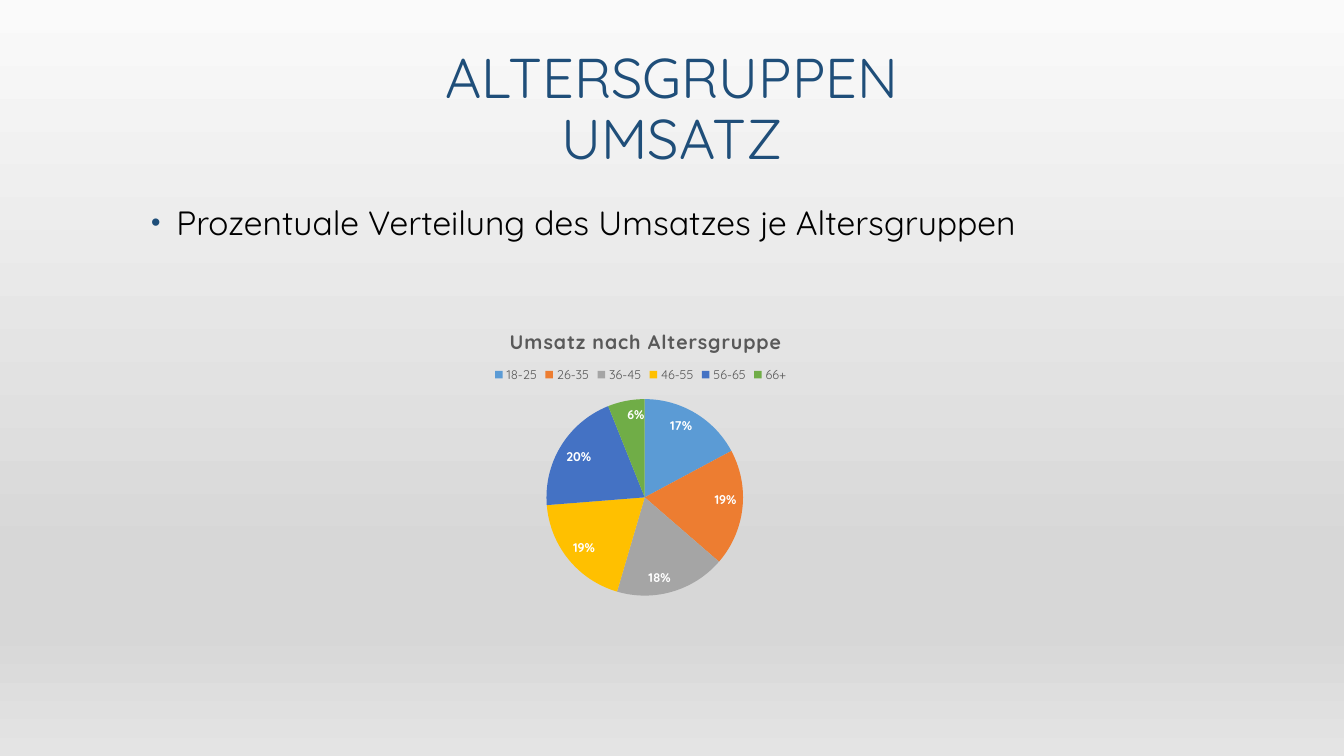
from lxml.etree import SubElement
from pptx import Presentation
from pptx.chart.data import CategoryChartData
from pptx.dml.color import RGBColor
from pptx.enum.chart import XL_CHART_TYPE, XL_LABEL_POSITION, XL_LEGEND_POSITION
from pptx.enum.shapes import MSO_SHAPE
from pptx.enum.text import MSO_ANCHOR, PP_ALIGN
from pptx.oxml import parse_xml
from pptx.oxml.ns import nsdecls, qn
from pptx.util import Inches, Pt

FONT = "Quicksand"
NAVY = "1F4E79"
GREY = "595959"


def style_font(font, size, color, bold=False):
    font.name = FONT
    font.size = Pt(size)
    font.bold = bold
    font.color.rgb = RGBColor.from_string(color)


def add_text(slide, text, left, top, width, height, size=24, color="000000",
             align=PP_ALIGN.LEFT, anchor=MSO_ANCHOR.TOP, bullet_color=None):
    box = slide.shapes.add_textbox(Inches(left), Inches(top), Inches(width), Inches(height))
    frame = box.text_frame
    frame.word_wrap = True
    frame.vertical_anchor = anchor
    paragraph = frame.paragraphs[0]
    paragraph.text = text
    paragraph.alignment = align
    paragraph.line_spacing = 0.9
    if bullet_color:
        properties = paragraph._p.get_or_add_pPr()
        properties.set("marL", str(Inches(0.3)))
        properties.set("indent", str(Inches(-0.25)))
        bullet = SubElement(properties, qn("a:buClr"))
        SubElement(bullet, qn("a:srgbClr"), val=bullet_color)
        SubElement(properties, qn("a:buSzPct"), val="80000")
        SubElement(properties, qn("a:buFont"), typeface="Arial")
        SubElement(properties, qn("a:buChar"), char="•")
    for run in paragraph.runs:
        style_font(run.font, size, color)


presentation = Presentation()
presentation.slide_width = Inches(13.33)
presentation.slide_height = Inches(7.5)
slide = presentation.slides.add_slide(presentation.slide_layouts[6])

# Backdrop with a vertical gradient
backdrop = slide.shapes.add_shape(MSO_SHAPE.RECTANGLE, 0, 0,
                                  presentation.slide_width, presentation.slide_height)
backdrop.shadow.inherit = False
backdrop.line.fill.background()
backdrop.fill.gradient()
gradient = backdrop._element.spPr.find(qn("a:gradFill"))
for child in list(gradient):
    gradient.remove(child)
stops = SubElement(gradient, qn("a:gsLst"))
for position, color in [(0, "FAFAFA"), (74, "D7D7D7"), (83, "D7D7D7"), (100, "E4E4E4")]:
    stop = SubElement(stops, qn("a:gs"), pos=str(position * 1000))
    SubElement(stop, qn("a:srgbClr"), val=color)
SubElement(gradient, qn("a:lin"), ang="5400000", scaled="0")

# Title and bullet
add_text(slide, "ALTERSGRUPPEN\vUMSATZ", 1.33, 0.3, 10.67, 1.45, size=40, color=NAVY,
         align=PP_ALIGN.CENTER, anchor=MSO_ANCHOR.BOTTOM)
add_text(slide, "Prozentuale Verteilung des Umsatzes je Altersgruppen",
         1.35, 2, 11.69, 4.75, bullet_color=NAVY)

# Pie chart
revenue = [("18-25", 17, "5B9BD5"), ("26-35", 19, "ED7D31"), ("36-45", 18, "A5A5A5"),
           ("46-55", 19, "FFC000"), ("56-65", 20, "4472C4"), ("66+", 6, "70AD47")]
chart_data = CategoryChartData()
chart_data.categories = [age_group for age_group, _, _ in revenue]
chart_data.add_series("Series 1", [value for _, value, _ in revenue])
chart = slide.shapes.add_chart(XL_CHART_TYPE.PIE, Inches(3.87), Inches(3.03),
                               Inches(5), Inches(3), chart_data).chart
style_font(chart.font, 10, "000000")

chart.has_title = True
title_paragraph = chart.chart_title.text_frame.paragraphs[0]
title_run = title_paragraph.add_run()
title_run.text = "Umsatz nach Altersgruppe"
style_font(title_run.font, 14, GREY, bold=True)
title_run._r.get_or_add_rPr().set("spc", "50")
chart.chart_title.include_in_layout = False

chart.has_legend = True
chart.legend.position = XL_LEGEND_POSITION.TOP
chart.legend.include_in_layout = False
style_font(chart.legend.font, 9, GREY)

plot = chart.plots[0]
plot.vary_by_categories = True
for index, (_, _, color) in enumerate(revenue):
    fill = plot.series[0].points[index].format.fill
    fill.solid()
    fill.fore_color.rgb = RGBColor.from_string(color)

plot.has_data_labels = True
labels = plot.data_labels
labels.show_value = False
labels.show_percentage = True
labels.number_format = "0%"
labels.number_format_is_linked = False
labels.position = XL_LABEL_POSITION.INSIDE_END
style_font(labels.font, 9, "FFFFFF", bold=True)

# Places of the chart parts, as shares of the chart area
chart_space = chart._chartSpace.chart
layouts = [
    (chart_space.find(qn("c:title")), "c:tx", {"x": 0.23, "y": 0.06}),
    (chart_space.find(qn("c:legend")), "c:legendPos", {"x": 0.2, "y": 0.19}),
    (chart_space.plotArea, None, {"x": 0.31, "y": 0.31, "w": 0.39, "h": 0.65}),
]
for part, predecessor, shares in layouts:
    for old_layout in part.findall(qn("c:layout")):
        part.remove(old_layout)
    layout = parse_xml(f"<c:layout {nsdecls('c')}><c:manualLayout/></c:layout>")
    manual = layout[0]
    if predecessor is None:
        SubElement(manual, qn("c:layoutTarget"), val="inner")
    for axis in "xy":
        SubElement(manual, qn(f"c:{axis}Mode"), val="edge")
    for name, share in shares.items():
        SubElement(manual, qn(f"c:{name}"), val=str(share))
    if predecessor:
        part.find(qn(predecessor)).addnext(layout)
    else:
        part.insert(0, layout)

presentation.save("out.pptx")
